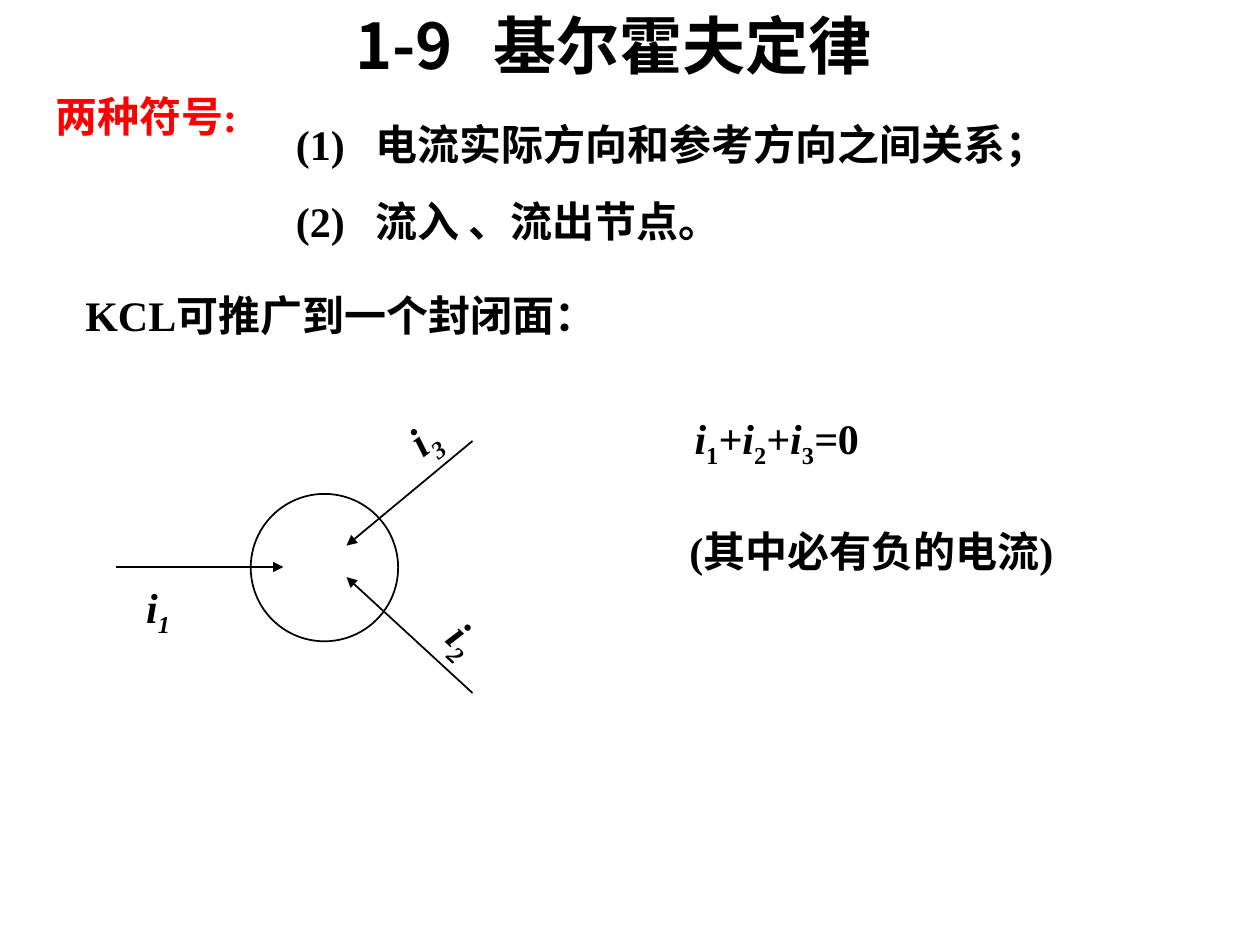
from lxml import etree
from pptx import Presentation
from pptx.dml.color import RGBColor
from pptx.enum import shapes, text
from pptx.oxml.ns import qn
from pptx.util import Inches, Pt

BLACK = RGBColor(0x00, 0x00, 0x00)
RED = RGBColor(0xFF, 0x00, 0x00)
WHITE = RGBColor(0xFF, 0xFF, 0xFF)
LATIN = "Times New Roman"
CHINESE = "Noto Sans CJK SC"
LEFT, CENTER = text.PP_ALIGN.LEFT, text.PP_ALIGN.CENTER


def add_span(para, words, size=24, font=LATIN, color=BLACK, italic=False, sub=False):
    span = para.add_run()
    span.text = words
    span.font.size = Pt(size)
    span.font.name = font
    span.font.bold = True
    span.font.italic = italic
    span.font.color.rgb = color
    props = span._r.get_or_add_rPr()
    if sub:
        props.set("baseline", "-25000")
    etree.SubElement(props, qn("a:ea"), typeface=CHINESE)


def add_tab_stop(para, inches):
    stops = etree.SubElement(para._p.get_or_add_pPr(), qn("a:tabLst"))
    etree.SubElement(stops, qn("a:tab"), pos=str(Inches(inches)), algn="l")


def set_title(page, words):
    title = page.shapes.title
    title.left, title.top = Inches(2.72), Inches(0)
    title.width, title.height = Inches(4.72), Inches(0.7)
    title.text_frame.vertical_anchor = text.MSO_ANCHOR.TOP
    title.text_frame.auto_size = text.MSO_AUTO_SIZE.NONE
    para = title.text_frame.paragraphs[0]
    add_tab_stop(para, 1.1)
    para.alignment = LEFT
    add_span(para, words, size=36, font=CHINESE)


def add_box(owner, left, top, width, height, align=CENTER, wrap=True, rotation=0):
    box = owner.shapes.add_textbox(Inches(left), Inches(top), Inches(width), Inches(height))
    box.rotation = rotation
    box.text_frame.word_wrap = wrap
    box.text_frame.vertical_anchor = text.MSO_ANCHOR.MIDDLE
    box.text_frame.paragraphs[0].alignment = align
    return box.text_frame


def add_line_of_text(page, words, *place, color=BLACK, wrap=True):
    add_span(add_box(page, *place, wrap=wrap).paragraphs[0], words, color=color)


def add_list(page, items, *place):
    frame = add_box(page, *place, align=LEFT)
    for index, item in enumerate(items):
        para = frame.add_paragraph() if index else frame.paragraphs[0]
        add_tab_stop(para, 0.63)
        if index:
            para.space_before = Pt(15)
        add_span(para, f"({index + 1})\t{item}")


def add_current_arrow(group, start, end):
    ends = [Inches(value) for value in (*start, *end)]
    arrow = group.shapes.add_connector(shapes.MSO_CONNECTOR.STRAIGHT, *ends)
    arrow.line.color.rgb = BLACK
    arrow.line.width = Pt(1)
    etree.SubElement(arrow.line._get_or_add_ln(), qn("a:tailEnd"), type="triangle")
    etree.SubElement(arrow._element.spPr, qn("a:effectLst"))


def add_closed_surface(group):
    circle = group.shapes.add_shape(
        shapes.MSO_SHAPE.OVAL, Inches(1.99), Inches(3.92), Inches(1.17), Inches(1.17))
    circle.shadow.inherit = False
    circle.fill.solid()
    circle.fill.fore_color.rgb = WHITE
    circle.line.color.rgb = BLACK
    circle.line.width = Pt(1)


def add_diagram(page):
    group = page.shapes.add_group_shape()
    add_closed_surface(group)
    currents = [
        ("1", (0.92, 4.5), (2.25, 4.5), (0.92, 4.56, 0.67, 0.56), 0),
        ("2", (3.75, 5.5), (2.75, 4.58), (3.33, 4.8, 0.67, 0.56), 42.9),
        ("3", (3.75, 3.5), (2.75, 4.33), (3.08, 3.22, 0.58, 0.56), 323.4),
    ]
    for number, start, end, place, rotation in currents:
        add_current_arrow(group, start, end)
        para = add_box(group, *place, rotation=rotation).paragraphs[0]
        add_span(para, "i", italic=True)
        add_span(para, number, italic=True, sub=True)


def add_equation(page):
    para = add_box(page, 5.08, 3.22, 2.17, 0.56).paragraphs[0]
    for symbol, number in (("i", "1"), ("+i", "2"), ("+i", "3")):
        add_span(para, symbol, italic=True)
        add_span(para, number, sub=True)
    add_span(para, "=", italic=True)
    add_span(para, "0")


def main():
    deck = Presentation()
    deck.slide_width, deck.slide_height = Inches(10), Inches(7.5)
    page = deck.slides.add_slide(deck.slide_layouts[5])
    set_title(page, "1-9\t基尔霍夫定律")
    add_list(page, ["电流实际方向和参考方向之间关系；", "流入 、流出节点。"], 2.25, 0.89, 6.5, 1.11)
    add_line_of_text(page, "KCL可推广到一个封闭面：", 0.33, 2.25, 4.75, 0.5)
    add_line_of_text(page, "两种符号:", 0.3, 0.67, 1.72, 0.5, color=RED, wrap=False)
    add_diagram(page)
    add_equation(page)
    add_line_of_text(page, "(其中必有负的电流)", 5.08, 4.12, 3.67, 0.5)
    deck.save("out.pptx")


if __name__ == "__main__":
    main()
